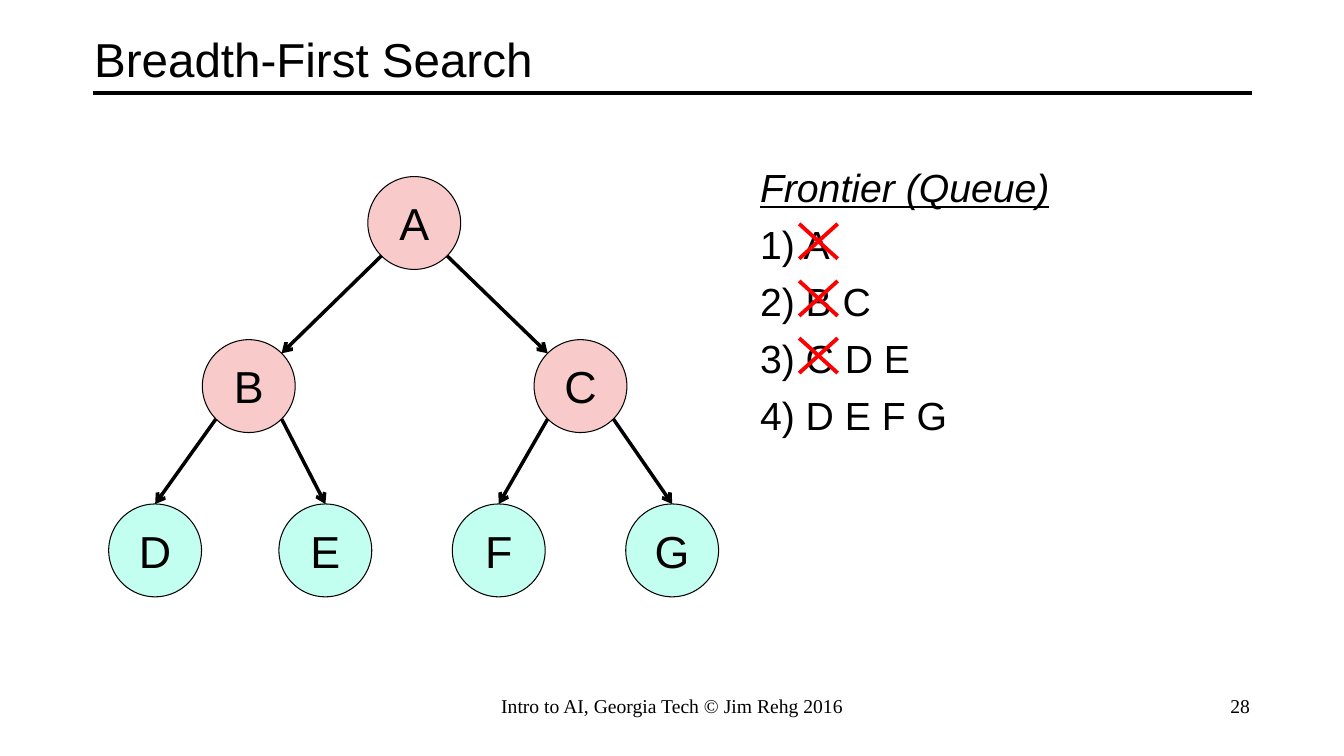
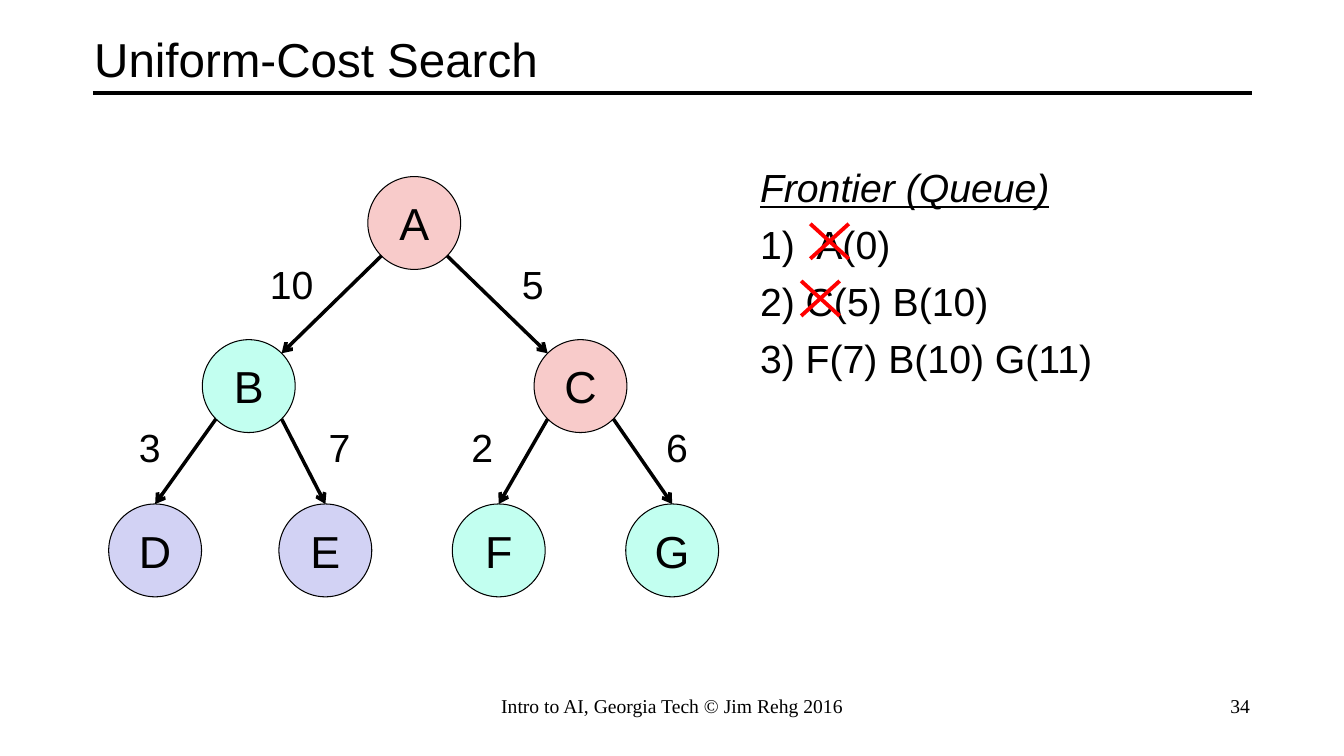
from math import sqrt

from lxml.etree import SubElement
from pptx import Presentation
from pptx.dml.color import RGBColor
from pptx.enum.shapes import MSO_CONNECTOR, MSO_SHAPE
from pptx.enum.text import MSO_ANCHOR, MSO_AUTO_SIZE, PP_ALIGN
from pptx.oxml.ns import qn
from pptx.util import Cm, Pt

COLOURS = {
    "ink": "000000",
    "visited": "F8CBCA",
    "frontier": "C2FFF0",
    "unseen": "D2D2F4",
    "cross": "FF0000",
}
SANS = "Arial"
SERIF = "Times New Roman"
FOOTER = "Intro to AI, Georgia Tech © Jim Rehg 2016"

DIAMETER = 2.34
CENTRES = {
    "A": (10.44, 5.62),
    "B": (6.27, 9.73),
    "C": (14.63, 9.73),
    "D": (3.91, 13.87),
    "E": (8.2, 13.87),
    "F": (12.57, 13.87),
    "G": (16.94, 13.87),
}
PARENTS = {"B": "A", "C": "A", "D": "B", "E": "B", "F": "C", "G": "C"}
LEAVES = "DEFG"
COST_TOPS = {"A": 6.43, "B": 10.54, "C": 10.54}
CROSS_SIZE = (0.97, 0.88)
CROSS_TOP = 5.64
CROSS_PITCH = 1.44

SLIDES = [
    {
        "title": "Breadth-First Search",
        "number": "28",
        "queue": ["1) A", "2) B C", "3) C D E", "4) D E F G"],
        "auto_numbered": 0,
        "states": {"visited": "ABC", "frontier": "DEFG"},
        "costs": {},
        "crosses": [20.14, 20.14, 20.14],
    },
    {
        "title": "Uniform-Cost Search",
        "number": "34",
        "queue": ["A(0)", "2) C(5) B(10)", "3) F(7) B(10) G(11)"],
        "auto_numbered": 1,
        "states": {"visited": "AC", "frontier": "BFG", "unseen": "DE"},
        "costs": {
            "B": ("10", 6.55),
            "C": ("5", 12.9),
            "D": ("3", 3.25),
            "E": ("7", 8.03),
            "F": ("2", 11.63),
            "G": ("6", 16.54),
        },
        "crosses": [20.42, 20.19],
    },
]


def colour(name):
    """Return the named colour."""
    return RGBColor.from_string(COLOURS[name])


def place(shape, left, top, width, height):
    """Move and size a shape, in centimetres."""
    shape.left, shape.top = Cm(left), Cm(top)
    shape.width, shape.height = Cm(width), Cm(height)


def add_span(para, text, size, font=SANS, emphasis=False):
    """Add one formatted run to a paragraph."""
    span = para.add_run()
    span.text = text
    span.font.name = font
    span.font.size = Pt(size)
    span.font.color.rgb = colour("ink")
    span.font.italic = emphasis
    span.font.underline = emphasis


def add_text(page, area, text, size, font=SANS, align=PP_ALIGN.LEFT, wrap=True):
    """Add a text box holding one line."""
    box = page.shapes.add_textbox(*map(Cm, area))
    box.text_frame.word_wrap = wrap
    para = box.text_frame.paragraphs[0]
    para.alignment = align
    add_span(para, text, size, font)


def add_line(shapes, start, end, width, name="ink", arrow=False):
    """Add a straight line, with an arrowhead if wanted."""
    line = shapes.add_connector(MSO_CONNECTOR.STRAIGHT, *map(Cm, (*start, *end)))
    line.line.color.rgb = colour(name)
    line.line.width = Pt(width)
    properties = line.element.spPr
    if arrow:
        SubElement(properties.find(qn("a:ln")), qn("a:tailEnd"), type="arrow")
    SubElement(properties, qn("a:effectLst"))
    return line


def add_frame(page, title, number):
    """Fill in the title, its rule and the footer."""
    heading = page.shapes.title
    place(heading, 2.12, 0.21, 29.63, 2.54)
    heading.text_frame.vertical_anchor = MSO_ANCHOR.MIDDLE
    heading.text_frame.auto_size = MSO_AUTO_SIZE.NONE
    para = heading.text_frame.paragraphs[0]
    para.alignment = PP_ALIGN.LEFT
    add_span(para, title, 34)
    add_line(page.shapes, (2.34, 2.34), (31.55, 2.34), 3)
    add_text(page, (11.58, 17.36, 10.72, 1.27), FOOTER, 14, SERIF, PP_ALIGN.CENTER)
    add_text(page, (24.28, 17.36, 7.47, 1.27), number, 14, SERIF, PP_ALIGN.RIGHT)


def add_queue(page, entries, auto_numbered):
    """List the frontier, numbering the first entries automatically."""
    body = page.placeholders[1]
    place(body, 18.9, 4, 14.12, 13.15)
    frame = body.text_frame
    frame.auto_size = MSO_AUTO_SIZE.NONE
    for index, text in enumerate(["Frontier (Queue)", *entries]):
        para = frame.add_paragraph() if index else frame.paragraphs[0]
        numbered = 1 <= index <= auto_numbered
        indent = Cm(1.42 if numbered else 0.97)
        properties = para._p.get_or_add_pPr()
        properties.set("marL", str(indent))
        properties.set("indent", str(-indent))
        if numbered:
            SubElement(properties, qn("a:buFont"), typeface=SANS)
            SubElement(properties, qn("a:buAutoNum"), type="arabicParenR")
        else:
            SubElement(properties, qn("a:buNone"))
        para.space_before = Pt(7 if index else 0)
        add_span(para, text, 28, emphasis=index == 0)


def add_node(page, label, state):
    """Add one circle of the tree."""
    x, y = CENTRES[label]
    corner = (x - DIAMETER / 2, y - DIAMETER / 2)
    node = page.shapes.add_shape(
        MSO_SHAPE.OVAL, *map(Cm, (*corner, DIAMETER, DIAMETER))
    )
    node.shadow.inherit = False
    node.fill.solid()
    node.fill.fore_color.rgb = colour(state)
    node.line.color.rgb = colour("ink")
    node.line.width = Pt(0.75)
    frame = node.text_frame
    frame.word_wrap = False
    frame.vertical_anchor = MSO_ANCHOR.MIDDLE
    para = frame.paragraphs[0]
    para.alignment = PP_ALIGN.CENTER
    add_span(para, label, 32)
    return node


def add_edge(page, parent, child, nodes):
    """Add an arrow from the rim of a parent to its child."""
    start_x, start_y = CENTRES[parent]
    end_x, end_y = CENTRES[child]
    diagonal = DIAMETER / 2 / sqrt(2)
    side = diagonal if end_x > start_x else -diagonal
    start = (start_x + side, start_y + diagonal)
    end = (end_x - side, end_y - diagonal)
    edge = add_line(page.shapes, start, end, 2.5, arrow=True)
    if child in LEAVES:
        edge.end_connect(nodes[child], 0)


def add_tree(page, states, costs):
    """Draw the search tree with its edge costs."""
    nodes = {
        label: add_node(page, label, state)
        for state, labels in states.items()
        for label in labels
    }
    for child, parent in PARENTS.items():
        add_edge(page, parent, child, nodes)
    for child, (cost, left) in costs.items():
        width = 1.63 if len(cost) > 1 else 1.07
        area = (left, COST_TOPS[PARENTS[child]], width, 1.45)
        add_text(page, area, cost, 28, wrap=False)


def add_cross(page, left, top):
    """Strike out an entry with two grouped red lines."""
    right, bottom = left + CROSS_SIZE[0], top + CROSS_SIZE[1]
    group = page.shapes.add_group_shape()
    add_line(group.shapes, (left, top), (right, bottom), 2.75, "cross")
    add_line(group.shapes, (right, top), (left, bottom), 2.75, "cross")


def main():
    """Build and save the deck."""
    deck = Presentation()
    deck.slide_width, deck.slide_height = Cm(33.87), Cm(19.05)
    for content in SLIDES:
        page = deck.slides.add_slide(deck.slide_layouts[1])
        add_frame(page, content["title"], content["number"])
        add_queue(page, content["queue"], content["auto_numbered"])
        add_tree(page, content["states"], content["costs"])
        for row, left in enumerate(content["crosses"]):
            add_cross(page, left, CROSS_TOP + row * CROSS_PITCH)
    deck.save("out.pptx")


if __name__ == "__main__":
    main()
